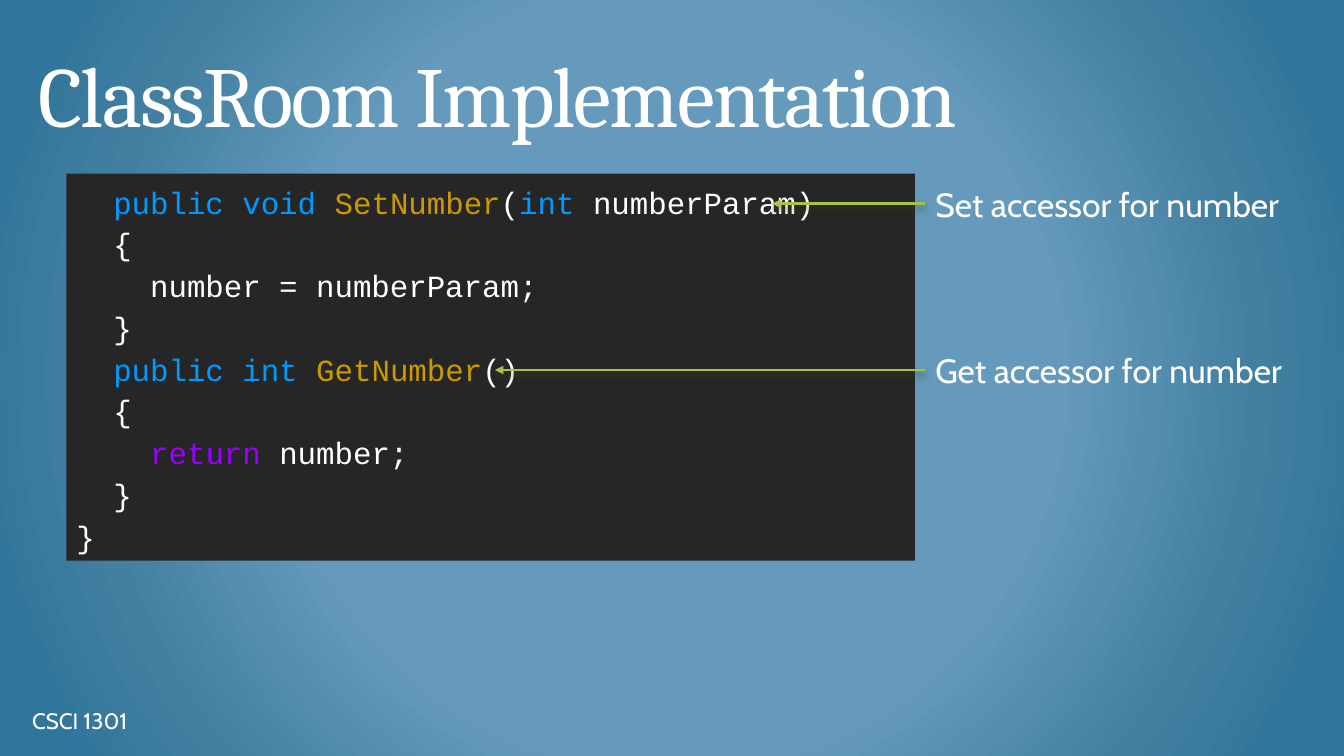
from lxml import etree
from pptx import Presentation
from pptx.dml.color import RGBColor
from pptx.enum import shapes, text
from pptx.oxml import parse_xml
from pptx.oxml.ns import nsdecls, qn
from pptx.util import Pt

HUES = {
    "white": "FFFFFF", "panel": "262626", "key": "0099FF", "name": "CC9900",
    "flow": "9900FF", "arrow": "A5C249", "shade": "3A4519",
    "inner": "659ABC", "middle": "427FA1", "outer": "30759B",
}
GLOW = [(50, "inner"), (76, "middle"), (92, "outer")]

# Each code line is a list of (text, colour) pieces.
CODE = [
    [("  public void ", "key"), ("SetNumber", "name"), ("(", "white"),
     ("int ", "key"), ("numberParam)", "white")],
    [("  {", "white")],
    [("    number = numberParam;", "white")],
    [("  }", "white")],
    [("  public int ", "key"), ("GetNumber", "name"), ("()", "white")],
    [("  {", "white")],
    [("    ", "white"), ("return", "flow"), (" number;", "white")],
    [("  }", "white")],
    [("}", "white")],
]

# Label, top, width, arrow tip
NOTES = [
    ("Set accessor for number", 127.5, 263.5, 551.5),
    ("Get accessor for number", 246.25, 266.5, 353.5),
]


class Deck:
    def __init__(self):
        self.prs = Presentation()
        self.prs.slide_width, self.prs.slide_height = Pt(960), Pt(540)
        self.slide = self.prs.slides.add_slide(self.prs.slide_layouts[6])

    def back(self, stops):
        """Fill the background with a circular gradient."""
        marks = "".join(
            f'<a:gs pos="{pos * 1000}"><a:srgbClr val="{HUES[hue]}"/></a:gs>'
            for pos, hue in stops)
        self.slide.background.fill.solid()
        props = self.slide.element.cSld.find(qn("p:bg")).find(qn("p:bgPr"))
        props.replace(props[0], parse_xml(
            f'<a:gradFill {nsdecls("a")} rotWithShape="1">'
            f'<a:gsLst>{marks}</a:gsLst><a:path path="circle">'
            '<a:fillToRect l="50000" t="50000" r="50000" b="50000"/>'
            '</a:path></a:gradFill>'))

    def fill(self, shape, lines, font, size, lead=None, track=None, **frame):
        """Put lines of coloured pieces into a shape."""
        body = shape.text_frame
        for key, val in frame.items():
            setattr(body, key, val)
        for num, line in enumerate(lines):
            para = body.add_paragraph() if num else body.paragraphs[0]
            para.alignment = text.PP_ALIGN.LEFT
            if lead:
                para.line_spacing = lead
            for words, hue in line:
                run = para.add_run()
                run.text = words
                for key, val in {"name": font, "size": Pt(size)}.items():
                    setattr(run.font, key, val)
                run.font.color.rgb = RGBColor.from_string(HUES[hue])
                if track:
                    run.font._element.set("spc", str(track))

    def label(self, words, box, font, size, **style):
        shape = self.slide.shapes.add_textbox(*map(Pt, box))
        self.fill(shape, [[(words, "white")]], font, size, **style)
        return shape

    def panel(self, lines, box):
        kind = shapes.MSO_SHAPE.RECTANGLE
        shape = self.slide.shapes.add_shape(kind, *map(Pt, box))
        shape.shadow.inherit = False
        shape.fill.solid()
        shape.fill.fore_color.rgb = RGBColor.from_string(HUES["panel"])
        shape.line.fill.background()
        self.fill(shape, lines, "Courier New", 22, lead=1.13, word_wrap=True,
                  vertical_anchor=text.MSO_ANCHOR.TOP,
                  auto_size=text.MSO_AUTO_SIZE.SHAPE_TO_FIT_TEXT)

    def arrow(self, start, tip):
        """Draw a shadowed arrow leftwards from the left side of a shape."""
        mid = start.top + start.height // 2
        line = self.slide.shapes.add_connector(
            shapes.MSO_CONNECTOR.STRAIGHT, start.left, mid, Pt(tip), mid)
        line.begin_connect(start, 1)
        line.line.width = Pt(2)
        line.line.color.rgb = RGBColor.from_string(HUES["arrow"])
        props = line._element.spPr
        etree.SubElement(props.find(qn("a:ln")), qn("a:tailEnd"),
                         type="triangle")
        props.append(parse_xml(
            f'<a:effectLst {nsdecls("a")}><a:outerShdw blurRad="{Pt(4.5)}" '
            f'dist="{Pt(3)}" dir="5400000" rotWithShape="0">'
            f'<a:srgbClr val="{HUES["shade"]}"><a:alpha val="48000"/>'
            '</a:srgbClr></a:outerShdw></a:effectLst>'))


def main():
    deck = Deck()
    deck.back(GLOW)
    pad = {"margin_top": Pt(5), "margin_bottom": Pt(5),
           "margin_right": Pt(9.36), "word_wrap": True}
    deck.label("ClassRoom Implementation", (18, 18, 924, 90), "Cambria", 61,
               lead=Pt(77.3), track=-130, margin_left=Pt(9.36),
               vertical_anchor=text.MSO_ANCHOR.BOTTOM, **pad)
    deck.label("CSCI 1301", (18, 500.4, 299, 28.8), "Cabin", 16,
               margin_left=Pt(5), vertical_anchor=text.MSO_ANCHOR.MIDDLE, **pad)
    deck.panel(CODE, (47.5, 124, 606, 276.5))
    for words, top, width, tip in NOTES:
        note = deck.label(words, (661, top, width, 36), "Cabin", 24,
                          word_wrap=False,
                          auto_size=text.MSO_AUTO_SIZE.SHAPE_TO_FIT_TEXT)
        deck.arrow(note, tip)
    deck.prs.save("out.pptx")


if __name__ == "__main__":
    main()
